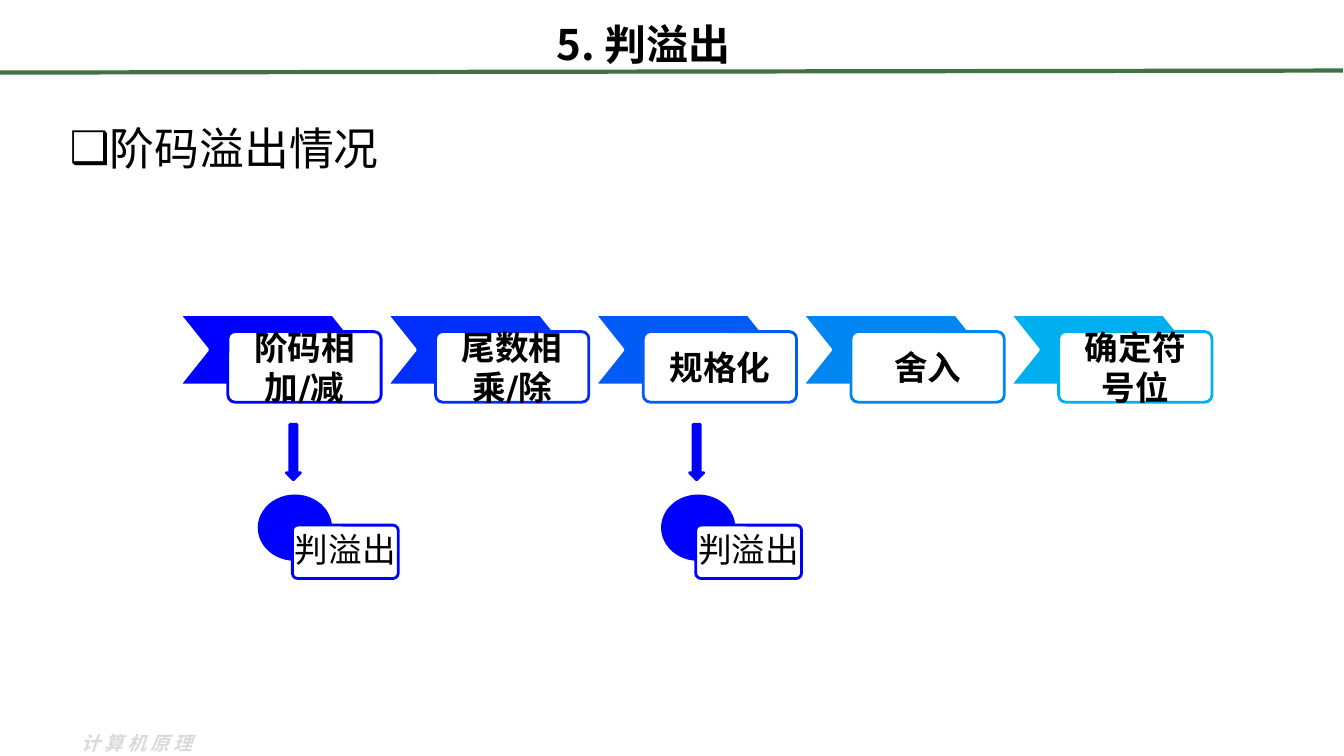
from lxml import etree
from pptx import Presentation
from pptx.dml.color import RGBColor
from pptx.enum.shapes import MSO_CONNECTOR, MSO_SHAPE
from pptx.enum.text import MSO_ANCHOR, MSO_AUTO_SIZE, PP_ALIGN
from pptx.oxml.ns import qn
from pptx.util import Inches, Pt

STRAIGHT = MSO_CONNECTOR.STRAIGHT
CHEVRON = MSO_SHAPE.CHEVRON
ROUNDED = MSO_SHAPE.ROUNDED_RECTANGLE
ELLIPSE = MSO_SHAPE.OVAL
DOWN_ARROW = MSO_SHAPE.DOWN_ARROW
CENTER = PP_ALIGN.CENTER
LEFT = PP_ALIGN.LEFT
MIDDLE = MSO_ANCHOR.MIDDLE
TOP = MSO_ANCHOR.TOP

SANS = "DejaVu Sans"
CJK = "Noto Sans CJK SC"
BLUE = "0000FF"
WHITE = "FFFFFF"
BLACK = "000000"
STEPS = [
    ("阶码相加/减", "0000FF"),
    ("尾数相乘/除", "002EFB"),
    ("规格化", "005BF7"),
    ("舍入", "0086F3"),
    ("确定符号位", "00AFEF"),
]
STEP_LEFT, STEP_TOP, STEP_PITCH = 1.78, 3.12, 2.06
CHECK_LEFT, CHECK_TOP, CHECK_PITCH = 2.57, 4.21, 4.0


def color(hex_text):
    """Turn a hex string into a colour."""
    return RGBColor.from_string(hex_text)


def place(shape, left, top, width, height):
    """Move and size a shape in inches."""
    shape.left, shape.top = Inches(left), Inches(top)
    shape.width, shape.height = Inches(width), Inches(height)


def write(shape, text, size, font_name=SANS, bold=False, text_color=BLACK,
          alignment=CENTER, anchor=MIDDLE, wrap=True):
    """Put one formatted paragraph into a shape and return it."""
    frame = shape.text_frame
    frame.text = text
    frame.auto_size = MSO_AUTO_SIZE.NONE
    frame.word_wrap = wrap
    frame.vertical_anchor = anchor
    paragraph = frame.paragraphs[0]
    paragraph.alignment = alignment
    paragraph.space_before = Pt(0)
    font = paragraph.runs[0].font
    font.size, font.bold, font.name = Pt(size), bold, font_name
    font.color.rgb = color(text_color)
    east_asian = etree.SubElement(font._element, qn("a:ea"))
    east_asian.set("typeface", font_name)
    return paragraph


def set_insets(shape, inset):
    """Give a shape the same text inset on all sides."""
    frame = shape.text_frame
    frame.margin_left = frame.margin_right = Inches(inset)
    frame.margin_top = frame.margin_bottom = Inches(inset)


def add_figure(slide, kind, box, fill, line, adjustment=None):
    """Add a preset shape with a solid fill and a 2-point outline."""
    shape = slide.shapes.add_shape(kind, *[Inches(length) for length in box])
    shape.shadow.inherit = False
    shape.fill.solid()
    shape.fill.fore_color.rgb = color(fill)
    shape.line.color.rgb = color(line)
    shape.line.width = Pt(2)
    if adjustment is not None:
        shape.adjustments[0] = adjustment
    return shape


def add_heading(slide):
    """Fill the title and draw the rule below it."""
    title = slide.shapes.title
    place(title, 1.7, 0.13, 9.36, 0.61)
    write(title, "5. 判溢出", 30, CJK, bold=True)
    rule = slide.shapes.add_connector(
        STRAIGHT, 0, Inches(0.72), Inches(13.32), Inches(0.7))
    rule.line.color.rgb = color("3F7141")
    rule.line.width = Pt(3)
    etree.SubElement(rule._element.spPr, qn("a:effectLst"))


def add_topic(slide):
    """Fill the body with its bulleted topic."""
    body = slide.placeholders[1]
    place(body, 0.59, 1.15, 11.94, 0.55)
    paragraph = write(body, "阶码溢出情况", 32, alignment=LEFT, anchor=TOP)
    properties = paragraph._p.get_or_add_pPr()
    properties.set("marL", str(Inches(0.38)))
    properties.set("indent", str(-Inches(0.38)))
    bullet = etree.SubElement(properties, qn("a:buChar"))
    bullet.set("char", "❑")


def add_step(slide, column, label, step_color):
    """Add one chevron of the process with its label box."""
    left = STEP_LEFT + column * STEP_PITCH
    add_figure(slide, CHEVRON, (left, STEP_TOP, 1.8, 0.7),
               step_color, WHITE, 0.4)
    box = add_figure(slide, ROUNDED, (left + 0.48, STEP_TOP + 0.17, 1.52, 0.7),
                     WHITE, step_color, 0.1)
    set_insets(box, 0.19)
    write(box, label, 24, bold=True)


def add_overflow_check(slide, column):
    """Add an arrow that leads down to an overflow check."""
    left = CHECK_LEFT + column * CHECK_PITCH
    add_figure(slide, ELLIPSE, (left, CHECK_TOP + 0.71, 0.71, 0.63), BLUE, BLUE)
    box = add_figure(slide, ROUNDED, (left + 0.33, CHECK_TOP + 1, 1.05, 0.53),
                     WHITE, BLUE, 0.1)
    set_insets(box, 0)
    write(box, "判溢出", 24, wrap=False).line_spacing = 0.9
    add_figure(slide, DOWN_ARROW, (left + 0.27, CHECK_TOP, 0.14, 0.55), BLUE, BLUE)


def add_course_name(slide):
    """Write the course name at the foot of the slide."""
    box = slide.shapes.add_textbox(0, 0, 0, 0)
    place(box, 0.71, 7.21, 1.46, 0.34)
    paragraph = write(box, "计算机原理", 13.5, CJK, bold=True,
                      text_color="D9D9D9", alignment=LEFT, anchor=TOP, wrap=False)
    font = paragraph.runs[0].font
    font.italic = True
    font._element.set("spc", "300")


def main():
    """Build the slide and save it."""
    presentation = Presentation()
    presentation.slide_width = Inches(13.33)
    presentation.slide_height = Inches(7.5)
    slide = presentation.slides.add_slide(presentation.slide_layouts[1])
    add_course_name(slide)
    add_heading(slide)
    add_topic(slide)
    for column, (label, step_color) in enumerate(STEPS):
        add_step(slide, column, label, step_color)
    for column in range(2):
        add_overflow_check(slide, column)
    presentation.save("out.pptx")


if __name__ == "__main__":
    main()
